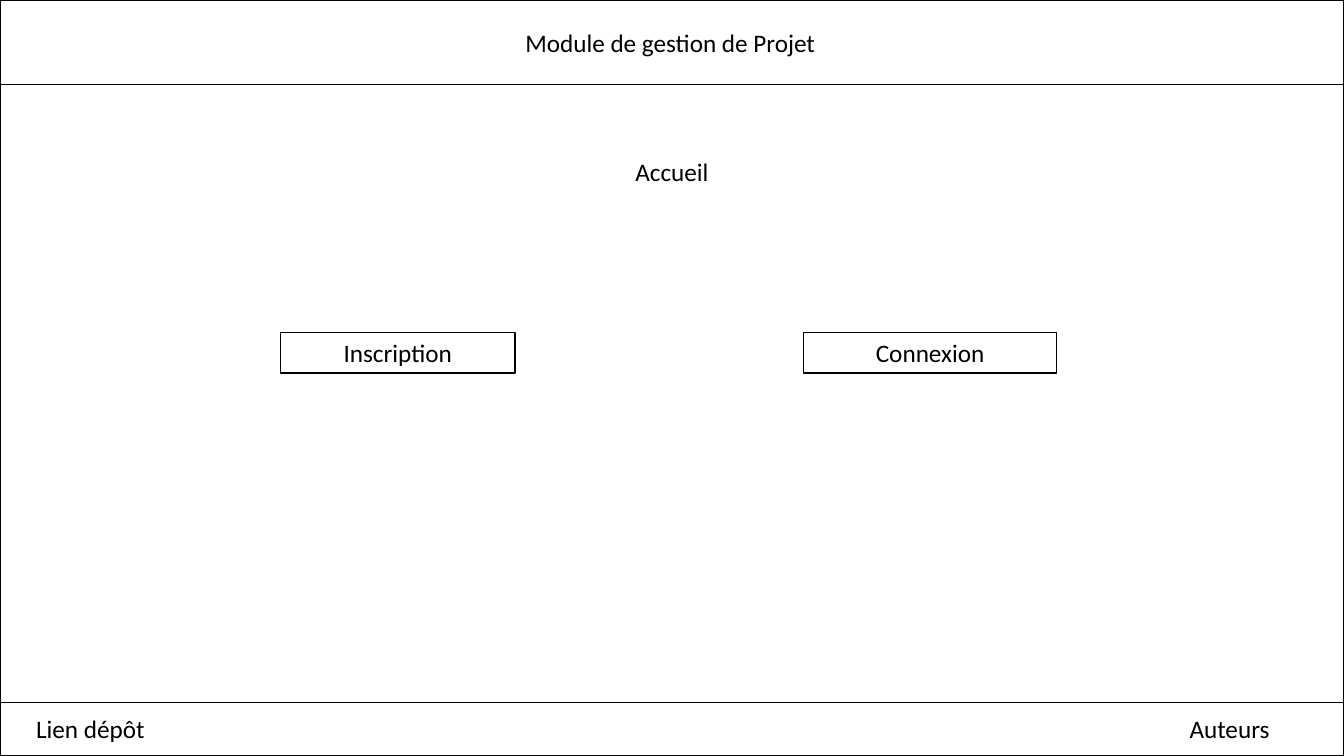
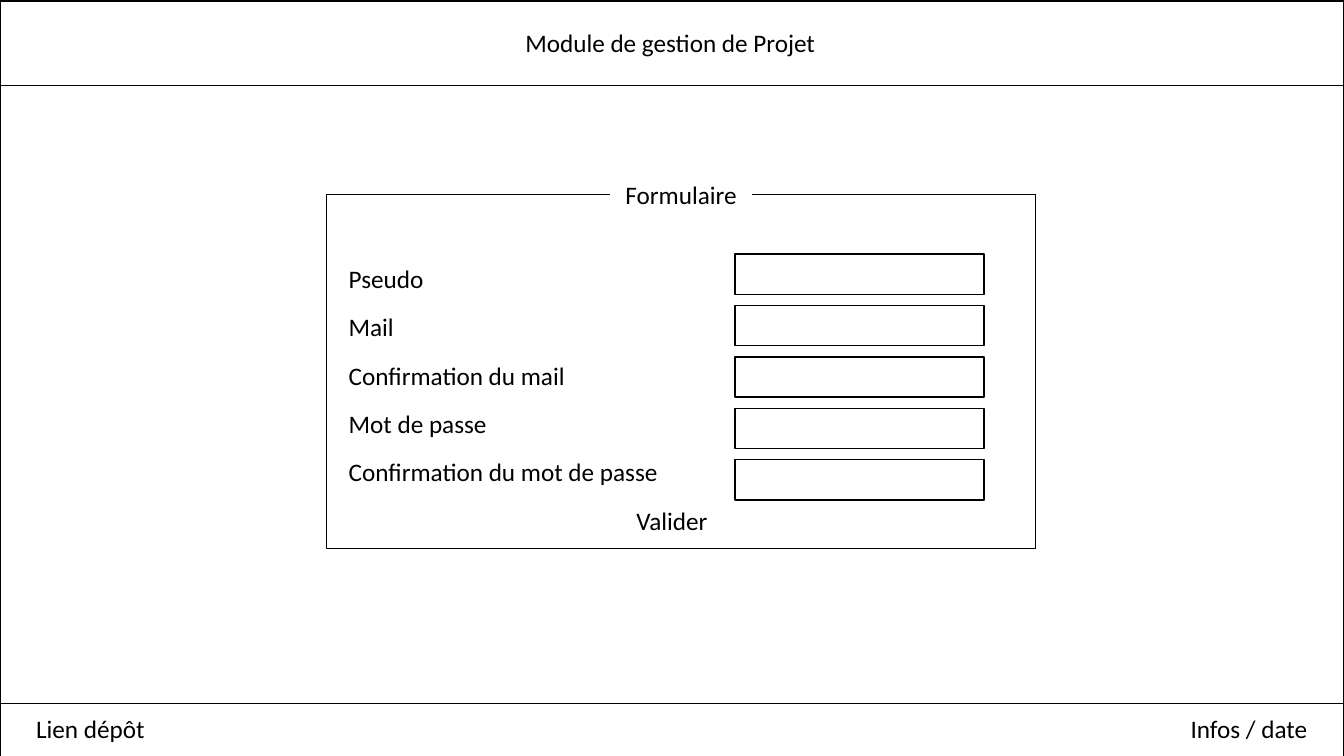
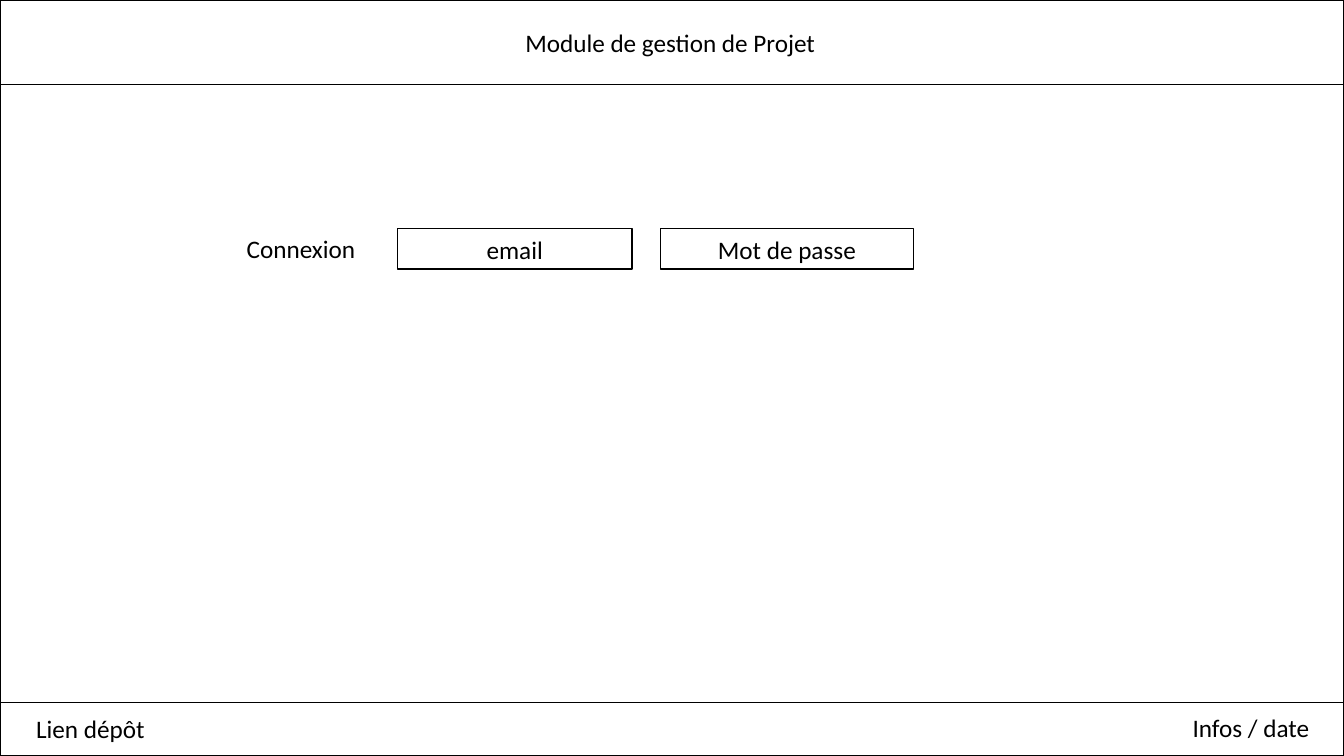
from dataclasses import dataclass

from lxml import etree
from pptx import Presentation
from pptx.dml.color import RGBColor
from pptx.enum.shapes import MSO_CONNECTOR as Connector, MSO_SHAPE as Preset
from pptx.enum.text import MSO_ANCHOR as Anchor, MSO_AUTO_SIZE as AutoSize, PP_ALIGN as Align
from pptx.oxml.ns import qn
from pptx.util import Inches, Pt


@dataclass(frozen=True)
class Theme:
    ink: RGBColor = RGBColor(0, 0, 0)
    paper: RGBColor = RGBColor(255, 255, 255)
    font: str = "Calibri"
    text_size: int = Pt(18)
    line_width: int = Pt(1)


theme = Theme()
slide_width, slide_height = 13.33, 7.5
row_height = 0.4


def write_text(shape, text, align=Align.LEFT, wrap=True, anchor=Anchor.TOP):
    frame = shape.text_frame
    frame.text = text
    frame_format = {"word_wrap": wrap, "vertical_anchor": anchor,
                    "auto_size": AutoSize.SHAPE_TO_FIT_TEXT}
    for name, value in frame_format.items():
        setattr(frame, name, value)
    paragraph = frame.paragraphs[0]
    paragraph.alignment = align
    font = paragraph.runs[0].font
    for name, value in {"name": theme.font, "size": theme.text_size}.items():
        setattr(font, name, value)
    font.color.rgb = theme.ink


def add_box(shapes, left, top, width, height=row_height, text="",
            align=Align.CENTER, outline=theme.ink, filled=True):
    shape = shapes.add_shape(Preset.RECTANGLE, Inches(left), Inches(top),
                             Inches(width), Inches(height))
    shape.shadow.inherit = False
    if filled:
        shape.fill.solid()
        shape.fill.fore_color.rgb = theme.paper
    else:
        shape.fill.background()
    shape.line.color.rgb = outline
    shape.line.width = theme.line_width
    if text:
        write_text(shape, text, align, anchor=Anchor.MIDDLE)


presentation = Presentation()
presentation.slide_width = Inches(slide_width)
presentation.slide_height = Inches(slide_height)
title_only = presentation.slide_layouts[5]

# Shared page: frame, header and footer rules, title, footer texts
# (frame top, right footer text, its left, top and width)
pages = [
    (0, "Auteurs", 11.7, 7.03, 1),
    (0.01, "Infos / date", 11.71, 7.03, 1.37),
    (0, "Infos / date", 11.73, 7.02, 1.37),
]
slides = []
for frame_top, footer, footer_left, footer_top, footer_width in pages:
    slide = presentation.slides.add_slide(title_only)
    slides.append(slide)

    page_frame = slide.shapes.add_group_shape()
    add_box(page_frame.shapes, 0, frame_top, slide_width, slide_height)
    for offset in (0.84, 6.97):
        y = Inches(frame_top + offset)
        rule = page_frame.shapes.add_connector(
            Connector.STRAIGHT, 0, y, Inches(slide_width), y)
        rule.line.color.rgb = theme.ink
        rule.line.width = theme.line_width
        etree.SubElement(rule.element.spPr, qn("a:effectLst"))

    # The title stands in front of the filled frame
    title = slide.shapes.title
    title.element.getparent().append(title.element)
    title_place = {"left": 5.11, "top": 0.22, "width": 3.11, "height": row_height}
    for name, value in title_place.items():
        setattr(title, name, Inches(value))
    write_text(title, "Module de gestion de Projet", wrap=False)

    for text, left, top, width in [("Lien dépôt", 0.26, 7.03, 1.41),
                                   (footer, footer_left, footer_top, footer_width)]:
        box = slide.shapes.add_textbox(Inches(left), Inches(top),
                                       Inches(width), Inches(row_height))
        write_text(box, text, wrap=False)

home, sign_up, sign_in = [slide.shapes for slide in slides]

# Headings of the home and sign-in pages
for shapes, text, left, top, width in [(home, "Accueil", 6.1, 1.5, 1.13),
                                       (sign_in, "Connexion", 2.3, 2.27, 1.37)]:
    heading = shapes.add_textbox(Inches(left), Inches(top),
                                 Inches(width), Inches(row_height))
    write_text(heading, text, Align.CENTER)

# Home buttons and sign-in fields
for shapes, text, left, top, width in [
    (home, "Inscription", 2.78, 3.3, 2.33),
    (home, "Connexion", 7.97, 3.3, 2.51),
    (sign_in, "email", 3.94, 2.27, 2.33),
    (sign_in, "Mot de passe", 6.55, 2.27, 2.51),
]:
    add_box(shapes, left, top, width, text=text)

# Sign-up form: border, legend, submit button, then the rows in front of it
add_box(sign_up, 3.24, 1.93, 7.03, 3.51)
add_box(sign_up, 6.06, 1.73, 1.39, text="Formulaire", outline=theme.paper)
add_box(sign_up, 4.94, 4.96, 3.45, text="Valider", outline=theme.paper, filled=False)

labels = [("Pseudo", 2.47), ("Mail", 2.47), ("Confirmation du mail", 2.47),
          ("Mot de passe", 2.47), ("Confirmation du mot de passe", 3.45)]
for row, (label, width) in enumerate(labels):
    add_box(sign_up, 3.36, 2.56 + 0.48 * row, width, text=label,
            align=Align.LEFT, outline=theme.paper)
    add_box(sign_up, 7.29, 2.52 + 0.51 * row, 2.47)

presentation.save("out.pptx")
